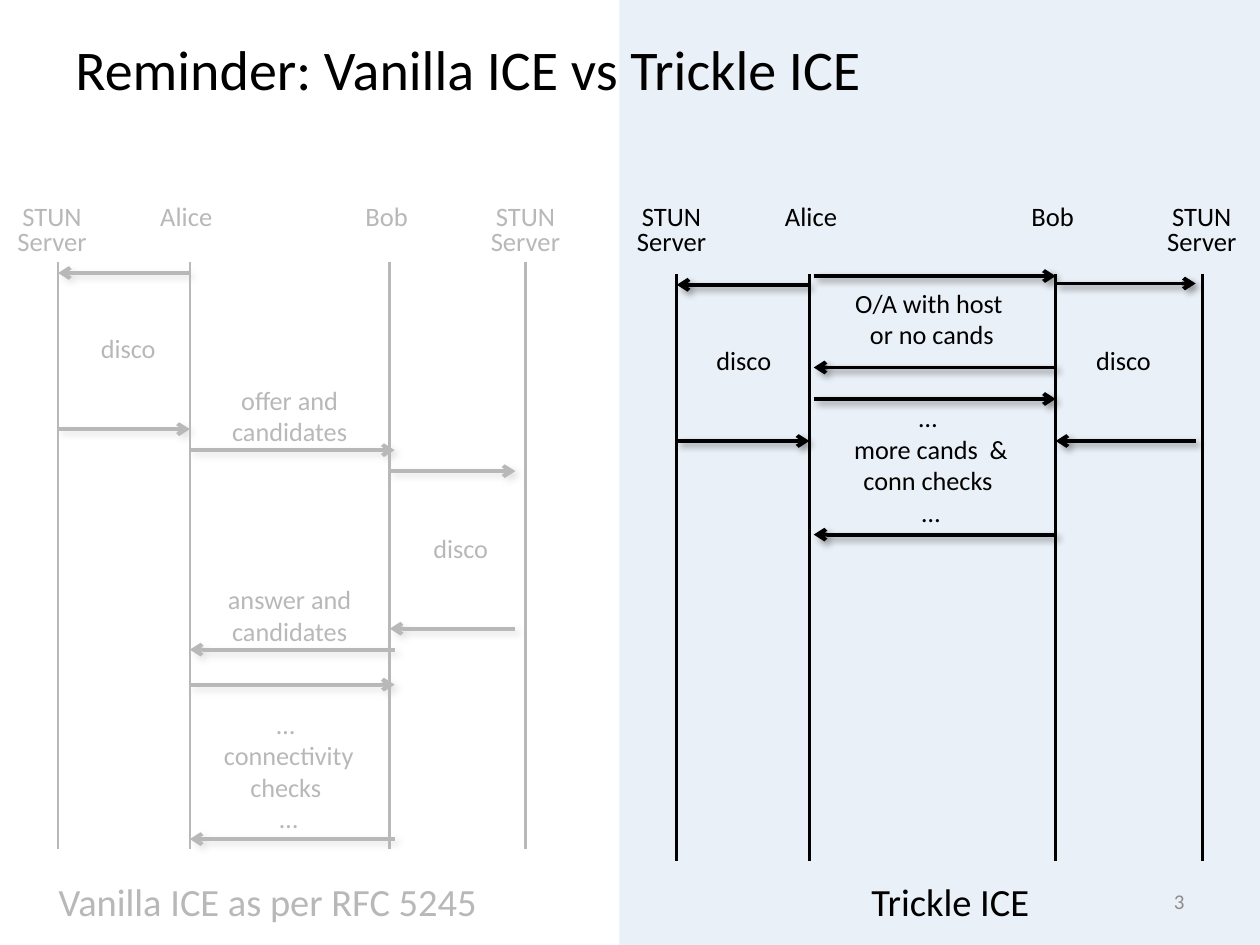
from copy import deepcopy

from lxml import etree
from pptx import Presentation
from pptx.dml.color import RGBColor
from pptx.enum.shapes import MSO_CONNECTOR, MSO_SHAPE
from pptx.enum.text import MSO_ANCHOR, PP_ALIGN
from pptx.oxml import parse_xml
from pptx.oxml.ns import nsdecls, qn
from pptx.util import Pt

STRAIGHT = MSO_CONNECTOR.STRAIGHT
RECTANGLE = MSO_SHAPE.RECTANGLE
TOP, MIDDLE = MSO_ANCHOR.TOP, MSO_ANCHOR.MIDDLE
CENTER, RIGHT, JUSTIFY = PP_ALIGN.CENTER, PP_ALIGN.RIGHT, PP_ALIGN.JUSTIFY

COLORS = {"ink": "000000", "number": "8C8C8C", "shade": "DCE6F2", "white": "FFFFFF"}
SHADOW = (
    f'<a:effectLst {nsdecls("a")}><a:outerShdw blurRad="50800" dist="38100" dir="2700000">'
    '<a:srgbClr val="000000"><a:alpha val="40000"/></a:srgbClr></a:outerShdw></a:effectLst>'
)

deck = Presentation()
deck.slide_width, deck.slide_height = Pt(720), Pt(540)
page = deck.slides.add_slide(deck.slide_layouts[6])


def add_text(text, left, top, width, height, size, color="ink", align=CENTER,
             anchor=TOP, spacing=None):
    """Add a one-paragraph text box; a vertical tab in text is a line break."""
    box = page.shapes.add_textbox(Pt(left), Pt(top), Pt(width), Pt(height))
    frame = box.text_frame
    frame.word_wrap = True
    frame.vertical_anchor = anchor
    para = frame.paragraphs[0]
    para.text = text
    para.alignment = align
    para.line_spacing = spacing
    for span in para.runs:
        span.font.name = "Calibri"
        span.font.size = Pt(size)
        span.font.color.rgb = RGBColor.from_string(COLORS[color])
    # Line breaks take the run format so that they keep the line height
    for line_break in para._p.findall(qn("a:br")):
        line_break.append(deepcopy(para.runs[0]._r.rPr))
    return box


def add_line(x1, y1, x2, y2, weight, arrow=False):
    line = page.shapes.add_connector(STRAIGHT, Pt(x1), Pt(y1), Pt(x2), Pt(y2))
    line.line.color.rgb = RGBColor.from_string(COLORS["ink"])
    line.line.width = Pt(weight)
    properties = line._element.spPr
    if arrow:
        etree.SubElement(line.line._get_or_add_ln(), qn("a:tailEnd"), type="arrow")
        properties.append(parse_xml(SHADOW))
    else:
        etree.SubElement(properties, qn("a:effectLst"))


# Veils: the first goes behind the right half, the second fades the left half
veils = []
for color, opacity, left, top, width, height in [
    ("shade", 59, 354, 0, 366, 540),
    ("white", 72, 0, 66, 342, 474),
]:
    veil = page.shapes.add_shape(RECTANGLE, Pt(left), Pt(top), Pt(width), Pt(height))
    veil.shadow.inherit = False
    veil.fill.solid()
    veil.fill.fore_color.rgb = RGBColor.from_string(COLORS[color])
    veil.line.fill.background()
    fill_color = veil._element.spPr.find(".//" + qn("a:srgbClr"))
    etree.SubElement(fill_color, qn("a:alpha"), val=str(opacity * 1000))
    veils.append(veil)

add_text("Reminder: Vanilla ICE vs Trickle ICE", 36, -6, 648, 90, 32,
         align=JUSTIFY, anchor=MIDDLE)
add_text("3", 516, 500.5, 168, 28.5, 12, color="number", align=RIGHT, anchor=MIDDLE)
vanilla_caption = add_text("Vanilla ICE as per RFC 5245", 0, 498, 306, 42, 22)
vanilla_caption.fill.solid()
vanilla_caption.fill.fore_color.rgb = RGBColor.from_string(COLORS["white"])
add_text("Trickle ICE", 390, 498, 306, 42, 22)

# Participants: left edges of the four headings, lifeline positions and top
PARTICIPANTS = ["STUN \vServer ", "Alice", "Bob", "STUN \vServer "]
LIFELINE_LENGTH = 335.25
for heading_lefts, lifelines, lifeline_top in [
    ((-6, 69, 183.5, 264.5), (33.25, 108.5, 222.75, 300.25), 150),
    ((348, 426, 564, 651), (386.75, 462.5, 603.25, 687), 156.75),
]:
    for name, left, x in zip(PARTICIPANTS, heading_lefts, lifelines):
        add_text(name, left, 114, 75, 36, 15.2, spacing=0.8)
        add_line(x, lifeline_top, x, lifeline_top + LIFELINE_LENGTH, 1.5)

# Messages: start x, end x, y
MESSAGES = [
    # Vanilla ICE
    (108.5, 33.25, 156), (33.25, 108.5, 245.25),
    (108.5, 225.5, 257.25),
    (222.75, 294.5, 269.25), (294.5, 222.75, 359.25),
    (225.5, 108.5, 371.25),
    (108.5, 225.5, 391.25), (225.5, 108.5, 479.5),
    # Trickle ICE
    (462.5, 386.75, 162.75), (386.75, 462.5, 252),
    (603.25, 683.25, 162), (683.25, 603.25, 252),
    (465, 603.25, 157.75), (603.25, 465, 210),
    (465, 603.25, 228), (603.25, 465, 305.5),
]
for start, end, y in MESSAGES:
    add_line(start, y, end, y, 2.25, arrow=True)

# Message labels: text, left, top, width, height
LABELS = [
    ("disco", 21, 186.5, 104.5, 25),
    ("offer and candidates", 119.5, 216, 92, 44),
    ("disco", 214.5, 300.5, 97.5, 25),
    ("answer and candidates", 119.5, 330, 92, 44),
    ("… \vconnectivity checks \v…", 108.5, 401, 113, 80),
    ("disco", 378.5, 193, 93, 25),
    ("O/A with host \vor no cands", 443.5, 160.5, 178, 44),
    ("disco", 591, 193, 102, 25),
    ("… \vmore cands  &\vconn checks \v…", 449.25, 226, 165.5, 80),
]
for text, left, top, width, height in LABELS:
    add_text(text, left, top, width, height, 15)

# Bring the fading veil to the front
page.shapes._spTree.append(veils[1]._element)

deck.save("out.pptx")
